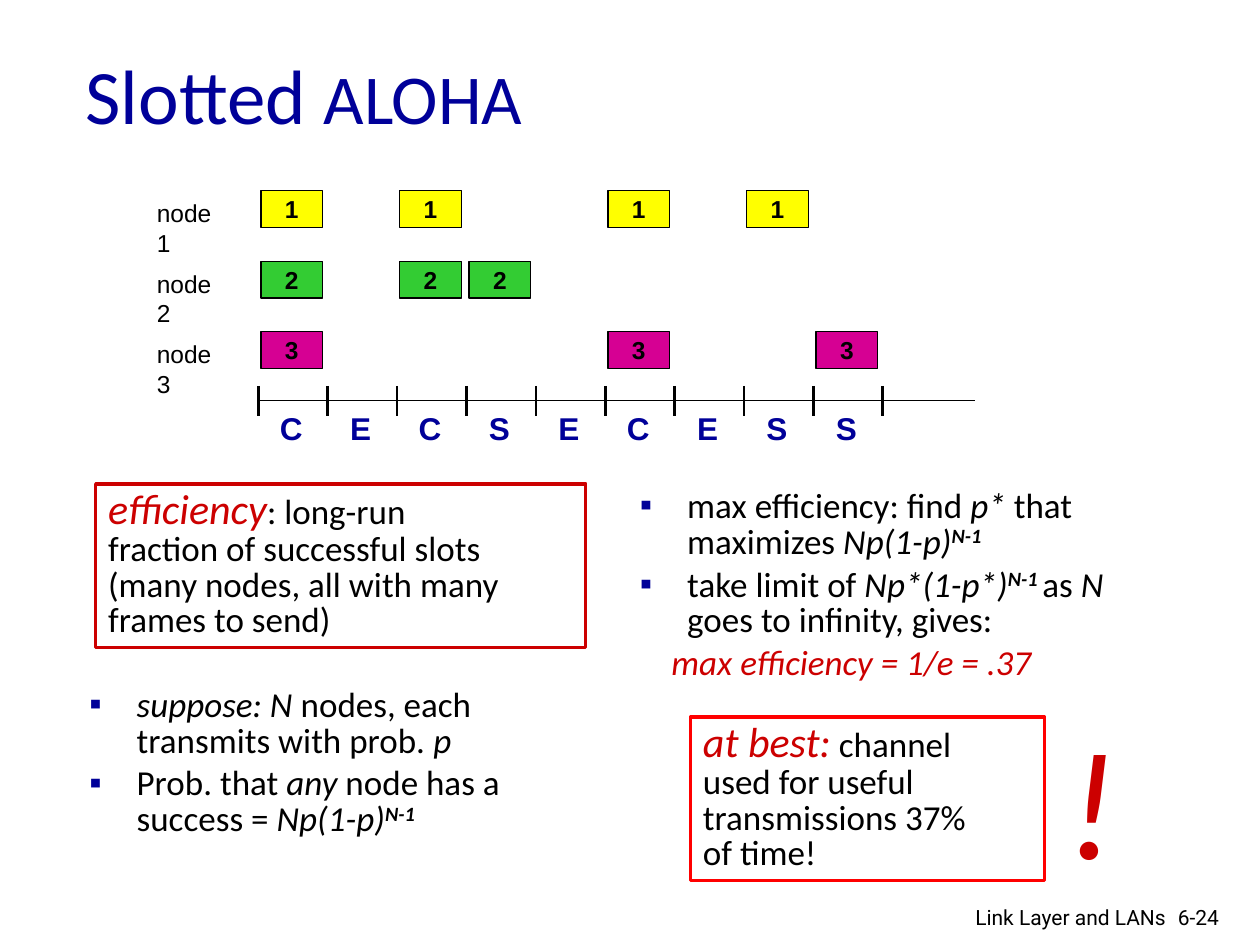
import pptx
import pptx.util
import pptx.dml.color
import pptx.enum.shapes
import pptx.enum.text
import pptx.oxml
import pptx.oxml.ns
import lxml.etree

Pt = pptx.util.Pt
RGBColor = pptx.dml.color.RGBColor
ALIGN = pptx.enum.text.PP_ALIGN
ANCHOR = pptx.enum.text.MSO_ANCHOR
RECTANGLE = pptx.enum.shapes.MSO_SHAPE.RECTANGLE
STRAIGHT = pptx.enum.shapes.MSO_CONNECTOR.STRAIGHT
qn = pptx.oxml.ns.qn

BLACK = RGBColor(0x00, 0x00, 0x00)
NAVY = RGBColor(0x00, 0x00, 0x99)
DARK_RED = RGBColor(0xCC, 0x00, 0x00)
RED = RGBColor(0xFF, 0x00, 0x00)
YELLOW = RGBColor(0xFF, 0xFF, 0x00)
GREEN = RGBColor(0x33, 0xCC, 0x33)
MAGENTA = RGBColor(0xD6, 0x00, 0x93)

# Run formats
ITALIC = {"italic": True}
POWER = {"italic": True, "bold": True, "baseline": 30}
LEAD = {"italic": True, "size": 24, "color": DARK_RED}

# Content: a paragraph is a list of (text, run format)
TITLE = [[("Slotted ", {}), ("ALOHA", {"size": 40})]]
NODES = [  # number, colour, slots in which the node sends
    (1, YELLOW, (0, 2, 5, 7)),
    (2, GREEN, (0, 2, 3)),
    (3, MAGENTA, (0, 5, 8)),
]
OUTCOMES = "CECSECESS"
EFFICIENCY = [[
    ("efficiency", LEAD),
    (": long-run \nfraction of successful slots \n"
     "(many nodes, all with many frames to send)", {}),
]]
AT_BEST = [
    [("at best:", LEAD), (" channel", {})],
    [("used for useful", {})],
    [("transmissions 37%", {})],
    [("of time!", {})],
]
SUPPOSE = [
    [("suppose: N", ITALIC), (" nodes, each transmits with prob. ", {}), ("p", ITALIC)],
    [("Prob. that ", {}), ("any", ITALIC), (" node has a success = ", {}),
     ("Np(1-p)", ITALIC), ("N-1", POWER)],
]
LIMIT = [
    [("max efficiency: find ", {}), ("p* ", ITALIC), ("that maximizes ", {}),
     ("Np(1-p)", ITALIC), ("N-1", POWER)],
    [("take limit of ", {}), ("Np*(1-p*)", ITALIC), ("N-1 ", POWER), ("as ", {}),
     ("N", ITALIC), (" goes to infinity, gives:", {})],
]
RESULT = [("max efficiency = 1/e = .37", {"italic": True, "color": DARK_RED})]

# Timeline geometry, in points
AXIS_LEFT, AXIS_RIGHT, AXIS_Y = 147.6, 557.3, 229
SLOT_WIDTH = 39.65
TICK_HALF = 8.5
FRAME_WIDTH, FRAME_HEIGHT, FRAME_INSET = 35.3, 21, 1.5
FRAME_TOP, ROW_STEP = 109, 40.3


def add_spans(para, text, size, font, color, bold=False, italic=False, baseline=0):
    for index, line in enumerate(text.split("\n")):
        if index:
            para.add_line_break()
        span = para.add_run()
        span.text = line
        span.font.name = font
        span.font.size = Pt(size)
        span.font.color.rgb = color
        span.font.bold = bold
        span.font.italic = italic
        if baseline:
            span.font._element.set("baseline", str(baseline * 1000))


def add_bullet(para):
    properties = para._p.get_or_add_pPr()
    properties.set("marL", str(Pt(27)))
    properties.set("indent", str(-Pt(27)))
    color = lxml.etree.SubElement(properties, qn("a:buClr"))
    lxml.etree.SubElement(color, qn("a:srgbClr"), val=str(NAVY))
    lxml.etree.SubElement(properties, qn("a:buFont"), typeface="Arial")
    lxml.etree.SubElement(properties, qn("a:buChar"), char="▪")


def write(box, text, size=20, font="Calibri", color=BLACK, bold=False, italic=False,
          align=ALIGN.LEFT, anchor=ANCHOR.TOP, wrap=True, spacing=None,
          before=0, bullets=0):
    """Fill a box with a string or a list of paragraphs; bullet the first ones."""
    base = {"size": size, "font": font, "color": color, "bold": bold, "italic": italic}
    paragraphs = [[(text, {})]] if isinstance(text, str) else text
    frame = box.text_frame
    frame.word_wrap = wrap
    frame.vertical_anchor = anchor
    for index, content in enumerate(paragraphs):
        para = frame.add_paragraph() if index else frame.paragraphs[0]
        para.alignment = align
        para.space_before = Pt(before)
        if spacing:
            para.line_spacing = spacing
        if index < bullets:
            add_bullet(para)
        for words, changes in content:
            add_spans(para, words, **{**base, **changes})
    return box


def add_text(page, left, top, width, height, text, **style):
    box = page.shapes.add_textbox(Pt(left), Pt(top), Pt(width), Pt(height))
    return write(box, text, **style)


def add_box(page, left, top, width, height, line, weight, text, fill=None, **style):
    box = page.shapes.add_shape(RECTANGLE, Pt(left), Pt(top), Pt(width), Pt(height))
    box.shadow.inherit = False
    if fill is None:
        box.fill.background()
    else:
        box.fill.solid()
        box.fill.fore_color.rgb = fill
    box.line.color.rgb = line
    box.line.width = Pt(weight)
    return write(box, text, **style)


def add_line(page, x1, y1, x2, y2, weight):
    line = page.shapes.add_connector(STRAIGHT, Pt(x1), Pt(y1), Pt(x2), Pt(y2))
    line.line.color.rgb = BLACK
    line.line.width = Pt(weight)
    lxml.etree.SubElement(line._element.spPr, qn("a:effectLst"))


def add_timeline(page):
    # Frames sent by each node
    for row, (number, color, slots) in enumerate(NODES):
        top = FRAME_TOP + row * ROW_STEP
        add_text(page, 82.5, top + 0.7, 57, 24, f"node {number}",
                 size=14, font="Arial", wrap=False)
        for slot in slots:
            add_box(page, AXIS_LEFT + slot * SLOT_WIDTH + FRAME_INSET, top,
                    FRAME_WIDTH, FRAME_HEIGHT, BLACK, 0.75, str(number), fill=color,
                    size=14, font="Arial", bold=True, wrap=False,
                    align=ALIGN.CENTER, anchor=ANCHOR.MIDDLE)
    # Axis, slot borders and outcome of each slot
    add_line(page, AXIS_LEFT, AXIS_Y, AXIS_RIGHT, AXIS_Y, 0.75)
    for border in range(len(OUTCOMES) + 1):
        x = AXIS_LEFT + border * SLOT_WIDTH
        add_line(page, x, AXIS_Y - TICK_HALF, x, AXIS_Y + TICK_HALF, 1.5)
    for slot, outcome in enumerate(OUTCOMES):
        add_text(page, AXIS_LEFT + slot * SLOT_WIDTH - 1, AXIS_Y + 1, SLOT_WIDTH, 29,
                 outcome, size=18, font="Arial", color=NAVY, bold=True,
                 align=ALIGN.CENTER)


def main():
    deck = pptx.Presentation()
    deck.slide_width, deck.slide_height = Pt(720), Pt(540)
    page = deck.slides.add_slide(deck.slide_layouts[6])

    add_text(page, 41.8, 8.6, 390, 90, TITLE, size=44, color=NAVY, anchor=ANCHOR.MIDDLE)
    add_timeline(page)

    # Definition and derivation
    add_box(page, 54.7, 276.5, 280, 93.6, DARK_RED, 2, EFFICIENCY, spacing=0.85)
    add_text(page, 44, 390.2, 300, 100, SUPPOSE, spacing=0.85, before=4, bullets=2)
    limit = add_text(page, 358.6, 276.5, 300, 120, LIMIT + [RESULT],
                     spacing=0.85, before=4, bullets=2)
    result = limit.text_frame.paragraphs[-1]._p.get_or_add_pPr()
    result.set("marL", str(Pt(18)))
    result.set("indent", "0")

    # Conclusion
    add_box(page, 394.6, 409.7, 202.3, 93.6, RED, 2, AT_BEST, spacing=0.85)
    add_text(page, 602.6, 399.6, 36.7, 113.8, "!", size=88, color=DARK_RED,
             italic=True, wrap=False)

    # Footer
    add_text(page, 502, 513.4, 171.4, 19, "Link Layer and LANs", size=12,
             font="Roboto", align=ALIGN.RIGHT)
    add_text(page, 666, 513.4, 43.2, 21.6, "6-24", size=12, font="Roboto")

    deck.save("out.pptx")


if __name__ == "__main__":
    main()
